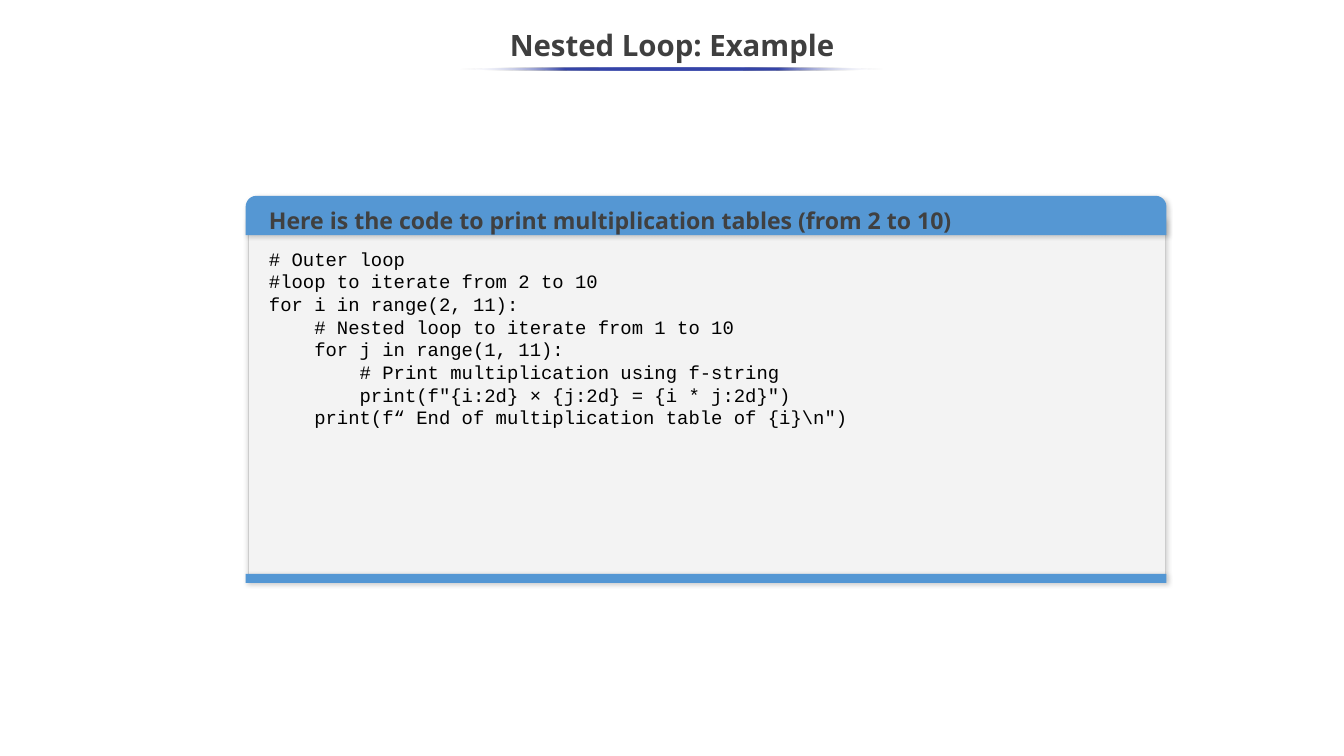
from dataclasses import dataclass

from lxml.etree import SubElement
from pptx import Presentation
from pptx.dml.color import RGBColor
from pptx.enum.shapes import MSO_SHAPE
from pptx.enum.text import MSO_ANCHOR, PP_ALIGN
from pptx.oxml.ns import qn
from pptx.util import Pt

COLORS = {
    "title": "3F3F3F",
    "heading": "404040",
    "code": "000000",
    "panel": "F3F3F3",
    "border": "CCCCCC",
    "header": "5597D3",
    "footer": "5497D4",
    "accent": "3645A9",
    "fade": "FFFFFF",
    "shadow": "000000",
}

CODE = r'''# Outer loop
#loop to iterate from 2 to 10
for i in range(2, 11):
    # Nested loop to iterate from 1 to 10
    for j in range(1, 11):
        # Print multiplication using f-string
        print(f"{i:2d} × {j:2d} = {i * j:2d}")
    print(f“ End of multiplication table of {i}\n")'''


@dataclass(frozen=True)
class Box:
    """Position and size in points."""

    left: float
    top: float
    width: float
    height: float

    def lengths(self) -> tuple:
        """Return the box as slide lengths."""
        return Pt(self.left), Pt(self.top), Pt(self.width), Pt(self.height)


@dataclass(frozen=True)
class Card:
    """One part of the code card."""

    box: Box
    color: str
    kind: MSO_SHAPE = MSO_SHAPE.RECTANGLE
    border: str = ""
    corners: tuple = ()


CARDS = [
    Card(Box(236.2, 209.5, 873.4, 337.7), "panel", border="border"),
    Card(Box(234, 546.5, 877, 8.6), "footer"),
    Card(Box(234, 186.5, 877, 37.4), "header",
         MSO_SHAPE.ROUND_2_SAME_RECTANGLE, corners=(0.275, 0)),
]


def add_color(parent, name: str, opacity: int) -> None:
    """Add a colour with an opacity in percent to an XML element."""
    color = SubElement(parent, qn("a:srgbClr"), val=COLORS[name])
    SubElement(color, qn("a:alpha"), val=str(opacity * 1000))


def add_shadow(shape) -> None:
    """Give a shape a soft shadow to the lower right."""
    effects = shape._element.spPr.find(qn("a:effectLst"))
    shadow = SubElement(effects, qn("a:outerShdw"), blurRad=str(Pt(4.5)),
                        dist=str(Pt(1.5)), dir=str(47 * 60000),
                        algn="tl", rotWithShape="0")
    add_color(shadow, "shadow", 20)


def draw_card(slide, card: Card) -> None:
    """Draw one part of the code card."""
    shape = slide.shapes.add_shape(card.kind, *card.box.lengths())
    for index, corner in enumerate(card.corners):
        shape.adjustments[index] = corner
    shape.fill.solid()
    shape.fill.fore_color.rgb = RGBColor.from_string(COLORS[card.color])
    if card.border:
        shape.line.color.rgb = RGBColor.from_string(COLORS[card.border])
        shape.line.width = Pt(0.75)
    else:
        shape.line.fill.background()
    shape.shadow.inherit = False
    add_shadow(shape)


def draw_underline(slide, box: Box) -> None:
    """Draw the title underline that fades out at both ends."""
    underline = slide.shapes.add_shape(MSO_SHAPE.OVAL, *box.lengths())
    underline.shadow.inherit = False
    underline.line.fill.background()
    underline.fill.gradient()
    underline.fill.gradient_angle = 180
    stops = underline._element.spPr.find(".//" + qn("a:gsLst"))
    stops.clear()
    for position in range(0, 101, 25):
        stop = SubElement(stops, qn("a:gs"), pos=str(position * 1000))
        if position in (0, 100):
            add_color(stop, "fade", 0)
        else:
            add_color(stop, "accent", 100)


def add_text(slide, text: str, box: Box, *, size: float, color: str,
             font: str = "Open Sans", bold: bool = False, spacing: float = 1.0,
             align: PP_ALIGN = PP_ALIGN.LEFT, anchor: MSO_ANCHOR = MSO_ANCHOR.TOP,
             inset: float = 3.6) -> None:
    """Add a text box with one paragraph per line of text."""
    frame = slide.shapes.add_textbox(*box.lengths()).text_frame
    frame.word_wrap = True
    frame.vertical_anchor = anchor
    frame.margin_left = frame.margin_right = Pt(7.2)
    frame.margin_top = frame.margin_bottom = Pt(inset)
    for index, line in enumerate(text.splitlines()):
        paragraph = frame.add_paragraph() if index else frame.paragraphs[0]
        paragraph.alignment = align
        paragraph.line_spacing = spacing
        run = paragraph.add_run()
        run.text = line
        run.font.name = font
        run.font.size = Pt(size)
        run.font.bold = bold
        run.font.color.rgb = RGBColor.from_string(COLORS[color])


def main() -> None:
    """Build the nested loop slide and save it."""
    presentation = Presentation()
    presentation.slide_width = Pt(1280.16)
    presentation.slide_height = Pt(720)
    slide = presentation.slides.add_slide(presentation.slide_layouts[6])

    add_text(slide, "Nested Loop: Example", Box(-0.7, 18, 1281.6, 54),
             size=28, color="title", bold=True, spacing=0.9,
             align=PP_ALIGN.CENTER, anchor=MSO_ANCHOR.MIDDLE)
    draw_underline(slide, Box(437.8, 64.1, 403.9, 2.9))
    for card in CARDS:
        draw_card(slide, card)
    add_text(slide, CODE, Box(249.1, 228.2, 810.7, 274.3),
             size=18, color="code", font="Courier New", inset=7.2)
    add_text(slide, "Here is the code to print multiplication tables (from 2 to 10)",
             Box(249.1, 189.4, 751, 31), size=22, color="heading",
             bold=True, spacing=1.15)
    presentation.save("out.pptx")


if __name__ == "__main__":
    main()
